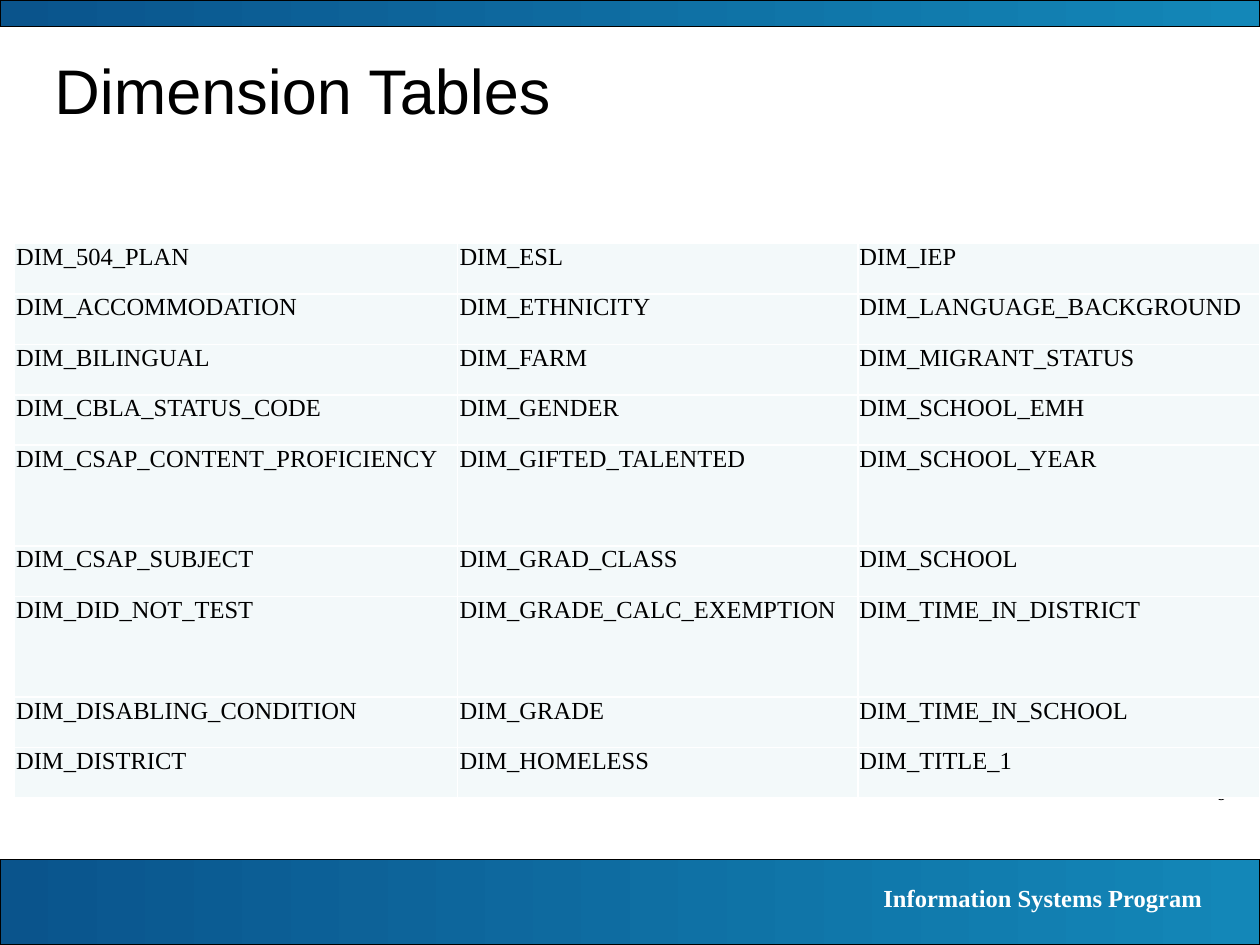
from dataclasses import dataclass

from lxml import etree
from pptx import Presentation
from pptx.dml.color import RGBColor
from pptx.enum import shapes, text
from pptx.oxml import ns
from pptx.util import Pt


@dataclass(frozen=True)
class Theme:
    sans: str = "Arial"
    serif: str = "Times New Roman"
    black: str = "000000"
    white: str = "FFFFFF"
    cell: str = "F3F9FA"
    deep: str = "0A548C"
    light: str = "1387B8"
    title: float = 36
    body: float = 14
    small: float = 10


THEME = Theme()
WIDE, HIGH = 720, 540
COLS = (253.4, 229, 229.7)
INDENTS = (1.2, 1.2, 0.7)
ROW = 28.8
ROWS = (
    (1, "DIM_504_PLAN", "DIM_ESL", "DIM_IEP"),
    (1, "DIM_ACCOMMODATION", "DIM_ETHNICITY", "DIM_LANGUAGE_BACKGROUND"),
    (1, "DIM_BILINGUAL", "DIM_FARM", "DIM_MIGRANT_STATUS"),
    (1, "DIM_CBLA_STATUS_CODE", "DIM_GENDER", "DIM_SCHOOL_EMH"),
    (2, "DIM_CSAP_CONTENT_PROFICIENCY", "DIM_GIFTED_TALENTED", "DIM_SCHOOL_YEAR"),
    (1, "DIM_CSAP_SUBJECT", "DIM_GRAD_CLASS", "DIM_SCHOOL"),
    (2, "DIM_DID_NOT_TEST", "DIM_GRADE_CALC_EXEMPTION", "DIM_TIME_IN_DISTRICT"),
    (1, "DIM_DISABLING_CONDITION", "DIM_GRADE", "DIM_TIME_IN_SCHOOL"),
    (1, "DIM_DISTRICT", "DIM_HOMELESS", "DIM_TITLE_1"),
)


def color(code):
    return RGBColor.from_string(code)


def add_run(para, words, size, face, ink, bold=False):
    run = para.add_run()
    run.text = words
    font = run.font
    font.size, font.name, font.bold = Pt(size), face, bold
    font.color.rgb = color(ink)


def add_label(slide, box, words, size, face, ink, bold=False,
              align=text.PP_ALIGN.LEFT, anchor=text.MSO_ANCHOR.TOP):
    frame = slide.shapes.add_textbox(*map(Pt, box)).text_frame
    frame.word_wrap = True
    frame.vertical_anchor = anchor
    para = frame.paragraphs[0]
    para.alignment = align
    add_run(para, words, size, face, ink, bold)


def add_band(slide, box):
    band = slide.shapes.add_shape(shapes.MSO_SHAPE.RECTANGLE, *map(Pt, box))
    band.shadow.inherit = False
    band.fill.gradient()
    band.fill.gradient_angle = 0
    for stop, code in zip(band.fill.gradient_stops, (THEME.deep, THEME.light)):
        stop.color.rgb = color(code)
    band.line.color.rgb = color(THEME.black)
    band.line.width = Pt(0.75)


def add_footer(slide, box):
    left, top, width, height = box
    add_band(slide, box)
    add_label(slide, (left + 399.6, top + 10, 294.5, 24.5),
              "Information Systems Program", THEME.body, THEME.serif,
              THEME.white, True, text.PP_ALIGN.RIGHT)


def set_borders(cell, code, width):
    props = cell._tc.get_or_add_tcPr()
    for spot, side in enumerate(("a:lnL", "a:lnR", "a:lnT", "a:lnB")):
        line = etree.Element(ns.qn(side), w=str(Pt(width)))
        fill = etree.SubElement(line, ns.qn("a:solidFill"))
        etree.SubElement(fill, ns.qn("a:srgbClr"), val=code)
        props.insert(spot, line)


def fill_cell(cell, words, indent):
    cell.margin_left = cell.margin_right = 0
    cell.margin_top = cell.margin_bottom = 0
    cell.fill.solid()
    cell.fill.fore_color.rgb = color(THEME.cell)
    set_borders(cell, THEME.white, 1)
    para = cell.text_frame.paragraphs[0]
    props = para._p.get_or_add_pPr()
    props.set("marL", "0")
    props.set("indent", str(Pt(indent)))
    add_run(para, words, THEME.body, THEME.serif, THEME.black)


def add_grid(slide, left, top):
    height = ROW * sum(row[0] for row in ROWS)
    table = slide.shapes.add_table(
        len(ROWS), len(COLS), Pt(left), Pt(top), Pt(sum(COLS)), Pt(height)).table
    table.first_row = table.horz_banding = False
    for col, width in zip(table.columns, COLS):
        col.width = Pt(width)
    for row, (units, *names) in zip(table.rows, ROWS):
        row.height = Pt(ROW * units)
        for cell, name, indent in zip(row.cells, names, INDENTS):
            fill_cell(cell, name, indent)


def main():
    deck = Presentation()
    deck.slide_width, deck.slide_height = Pt(WIDE), Pt(HIGH)
    slide = deck.slides.add_slide(deck.slide_layouts[6])
    add_label(slide, (648, 444.2, 60, 19.5), "9", THEME.small, THEME.serif,
              THEME.black, True, text.PP_ALIGN.RIGHT)
    add_footer(slide, (0, 491, WIDE, 49))
    add_band(slide, (0, 0, WIDE, 15))
    add_label(slide, (24, 24, 660, 54), "Dimension Tables", THEME.title,
              THEME.sans, THEME.black, anchor=text.MSO_ANCHOR.MIDDLE)
    add_grid(slide, 8, 139.2)
    deck.save("out.pptx")


if __name__ == "__main__":
    main()
